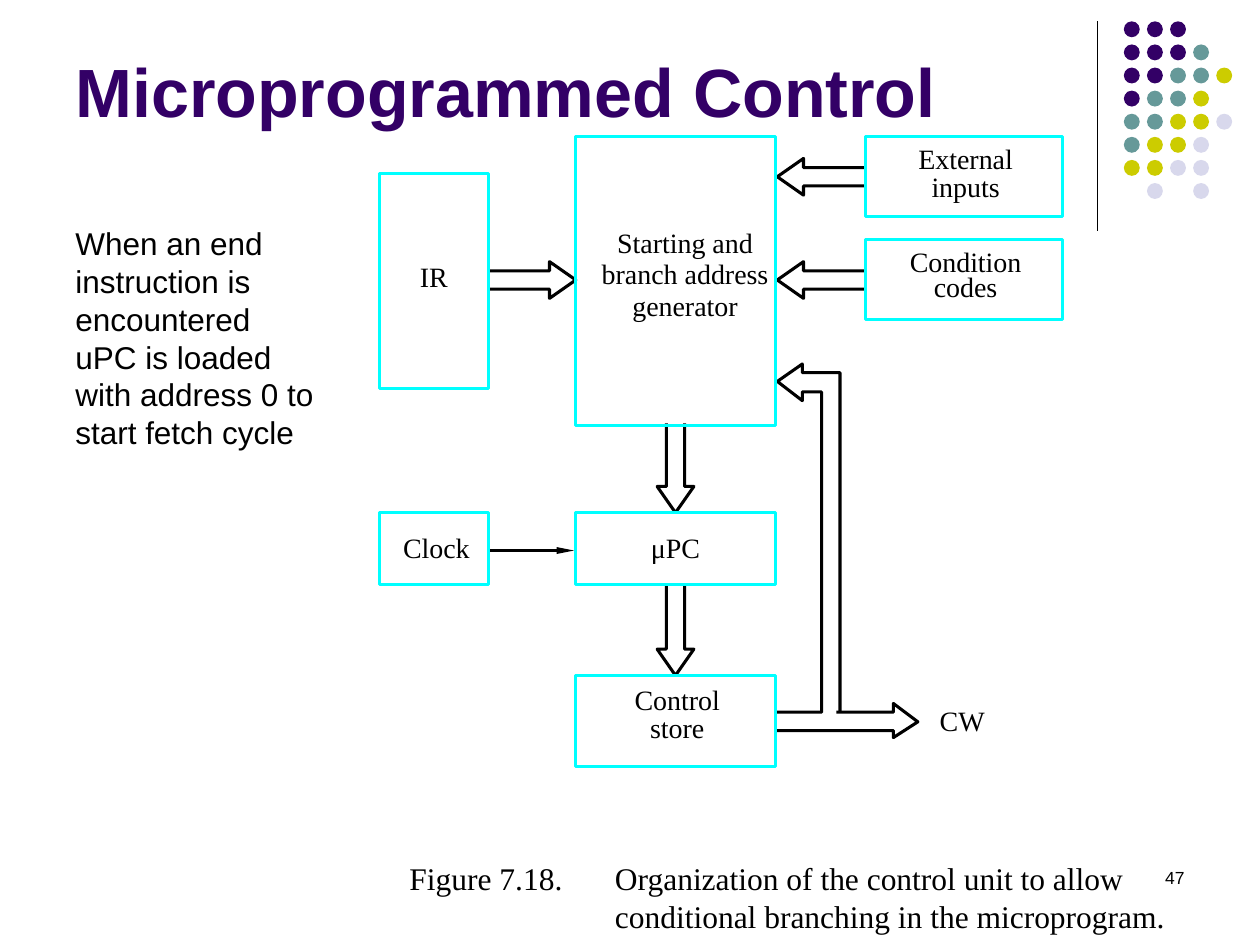
from math import hypot

from lxml import etree
from pptx import Presentation
from pptx.dml.color import RGBColor
from pptx.enum.shapes import MSO_CONNECTOR, MSO_SHAPE
from pptx.enum.text import MSO_ANCHOR, PP_ALIGN
from pptx.oxml.ns import qn
from pptx.util import Pt

RECTANGLE, OVAL = MSO_SHAPE.RECTANGLE, MSO_SHAPE.OVAL
STRAIGHT = MSO_CONNECTOR.STRAIGHT
TOP, BOTTOM = MSO_ANCHOR.TOP, MSO_ANCHOR.BOTTOM
LEFT, CENTER, RIGHT = PP_ALIGN.LEFT, PP_ALIGN.CENTER, PP_ALIGN.RIGHT

SANS, SERIF = "Arial", "Times New Roman"
COLORS = {
    "black": "000000", "white": "FFFFFF", "box": "00FFFF",
    "purple": "330066", "teal": "669999", "olive": "CCCC00", "lilac": "D8D8EC",
}
DOT_COLORS = {"P": "purple", "T": "teal", "O": "olive", "L": "lilac"}
DOT_ROWS = ["PPP", "PPPT", "PPTTO", "PTTO", "TTOOL", "TOOL", "OOLL", ".L.L"]
DOT_SIZE, DOT_PITCH = 9.1, 13.2
OUTLINE = 1.75
SHAFT_HALF, HEAD_HALF, HEAD_LENGTH = 5.25, 10.5, 15

# left, top, width, height, lines, line pitch, top margin, left margin, filled
UNITS = [
    (329, 386, 114, 52, ["Control", "store"], 16, 7.4, 2, False),
    (494.6, 136.8, 112.4, 46, ["Condition", "codes"], 14.4, 7.6, 2, False),
    (216.7, 293, 62.3, 41, ["Clock"], 18, 11.2, 3, False),
    (329, 77.8, 114, 165.6, ["Starting and", "branch address", "generator"],
     18, 52.2, 11, False),
    (494.6, 77.8, 112.4, 46, ["External", "inputs"], 16.5, 5.5, 2, False),
    (216.7, 99.4, 62.3, 122.4, ["IR"], 18, 50, 0, True),
    (329, 293, 114, 41, ["μPC"], 18, 11.2, 0, True),
]
HOLLOW_ARROWS = [
    ((494.6, 160), (444.2, 160)),
    ((494.6, 101), (444.2, 101)),
    ((280, 160), (329, 160)),
    ((386, 242), (386, 293)),
    ((386, 334), (386, 386)),
]
FEEDBACK = [
    (480, 407), (480, 213), (458.5, 213), (458.5, 208), (444.2, 218),
    (458.5, 229), (458.5, 224), (469.5, 224), (469.5, 407), (443, 407),
]
CONTROL_WORD = [
    (443, 417.5), (510.5, 417.5), (510.5, 421.5), (524.5, 412.5),
    (510.5, 402), (510.5, 407), (478, 407),
]


def color(name):
    return RGBColor.from_string(COLORS[name])


def write(frame, lines, size, font, ink="black", bold=False, align=LEFT,
          pitch=None, tab=None):
    frame.word_wrap = True
    frame.text = "\n".join(lines)
    for paragraph in frame.paragraphs:
        if tab:
            stops = etree.SubElement(paragraph._p.get_or_add_pPr(), qn("a:tabLst"))
            etree.SubElement(stops, qn("a:tab"), pos=str(Pt(tab)), algn="l")
        paragraph.alignment = align
        if pitch:
            paragraph.line_spacing = Pt(pitch)
        for run in paragraph.runs:
            run.font.size = Pt(size)
            run.font.name = font
            run.font.bold = bold
            run.font.color.rgb = color(ink)


def set_margins(frame, left=0, top=0):
    frame.margin_left, frame.margin_top = Pt(left), Pt(top)
    frame.margin_right = frame.margin_bottom = 0


def add_text(slide, bounds, lines, size, font, anchor=TOP, inset=True, **style):
    frame = slide.shapes.add_textbox(*map(Pt, bounds)).text_frame
    if not inset:
        set_margins(frame)
    frame.vertical_anchor = anchor
    write(frame, lines, size, font, **style)


def add_line(slide, start, end, width):
    line = slide.shapes.add_connector(STRAIGHT, *map(Pt, start + end))
    line.line.color.rgb = color("black")
    line.line.width = Pt(width)
    etree.SubElement(line._element.spPr, qn("a:effectLst"))
    return line


def add_clock_signal(slide):
    signal = add_line(slide, (279, 314.6), (328, 314.6), OUTLINE)
    etree.SubElement(signal.line._get_or_add_ln(), qn("a:tailEnd"),
                     type="triangle", w="sm", len="lg")


def add_outline(slide, points):
    corners = [(Pt(x), Pt(y)) for x, y in points]
    builder = slide.shapes.build_freeform(*corners[0])
    builder.add_line_segments(corners[1:], close=False)
    outline = builder.convert_to_shape()
    outline.shadow.inherit = False
    outline.fill.background()
    outline.line.color.rgb = color("black")
    outline.line.width = Pt(OUTLINE)


def add_hollow_arrow(slide, tail, tip):
    length = hypot(tip[0] - tail[0], tip[1] - tail[1])
    ux, uy = (tip[0] - tail[0]) / length, (tip[1] - tail[1]) / length
    neck = length - HEAD_LENGTH
    profile = [(0, SHAFT_HALF), (neck, SHAFT_HALF), (neck, HEAD_HALF), (length, 0),
               (neck, -HEAD_HALF), (neck, -SHAFT_HALF), (0, -SHAFT_HALF)]
    add_outline(slide, [(tail[0] + along * ux - across * uy,
                         tail[1] + along * uy + across * ux)
                        for along, across in profile])


def add_unit(slide, left, top, width, height, lines, pitch, margin_top,
             margin_left, filled):
    unit = slide.shapes.add_shape(RECTANGLE, *map(Pt, (left, top, width, height)))
    unit.shadow.inherit = False
    if filled:
        unit.fill.solid()
        unit.fill.fore_color.rgb = color("white")
    else:
        unit.fill.background()
    unit.line.color.rgb = color("box")
    unit.line.width = Pt(OUTLINE)
    frame = unit.text_frame
    frame.vertical_anchor = TOP
    set_margins(frame, margin_left, margin_top)
    write(frame, lines, 16, SERIF, align=CENTER, pitch=pitch)


def add_dots(slide):
    for row, codes in enumerate(DOT_ROWS):
        for column, code in enumerate(codes):
            if code not in DOT_COLORS:
                continue
            dot = slide.shapes.add_shape(
                OVAL, Pt(642.2 + column * DOT_PITCH), Pt(12.2 + row * DOT_PITCH),
                Pt(DOT_SIZE), Pt(DOT_SIZE))
            dot.shadow.inherit = False
            dot.fill.solid()
            dot.fill.fore_color.rgb = color(DOT_COLORS[code])
            dot.line.fill.background()


def main():
    deck = Presentation()
    deck.slide_width, deck.slide_height = Pt(720), Pt(540)
    slide = deck.slides.add_slide(deck.slide_layouts[6])

    add_line(slide, (627, 12.2), (627, 131.8), 0.75)
    add_dots(slide)
    add_text(slide, (36, -23.8, 594, 102.2), ["Microprogrammed Control"], 39, SANS,
             anchor=BOTTOM, ink="purple", bold=True)

    add_clock_signal(slide)
    for tail, tip in HOLLOW_ARROWS:
        add_hollow_arrow(slide, tail, tip)
    for points in (FEEDBACK, CONTROL_WORD):
        add_outline(slide, points)
    for unit in UNITS:
        add_unit(slide, *unit)
    add_text(slide, (537, 402, 30, 19.4), ["CW"], 16, SERIF, inset=False)

    add_text(slide, (234, 491, 440, 43.2),
             ["Figure 7.18.\tOrganization of the control unit to allow",
              "\tconditional branching in the microprogram."],
             18, SERIF, inset=False, pitch=21.6, tab=117.4)
    add_text(slide, (516.2, 491.8, 167.8, 36), ["47"], 10, SANS, align=RIGHT)
    add_text(slide, (36, 124.6, 152, 136.8),
             ["When an end instruction is encountered uPC is loaded "
              "with address 0 to start fetch cycle"],
             18, SANS, pitch=21.6)
    deck.save("out.pptx")


if __name__ == "__main__":
    main()
